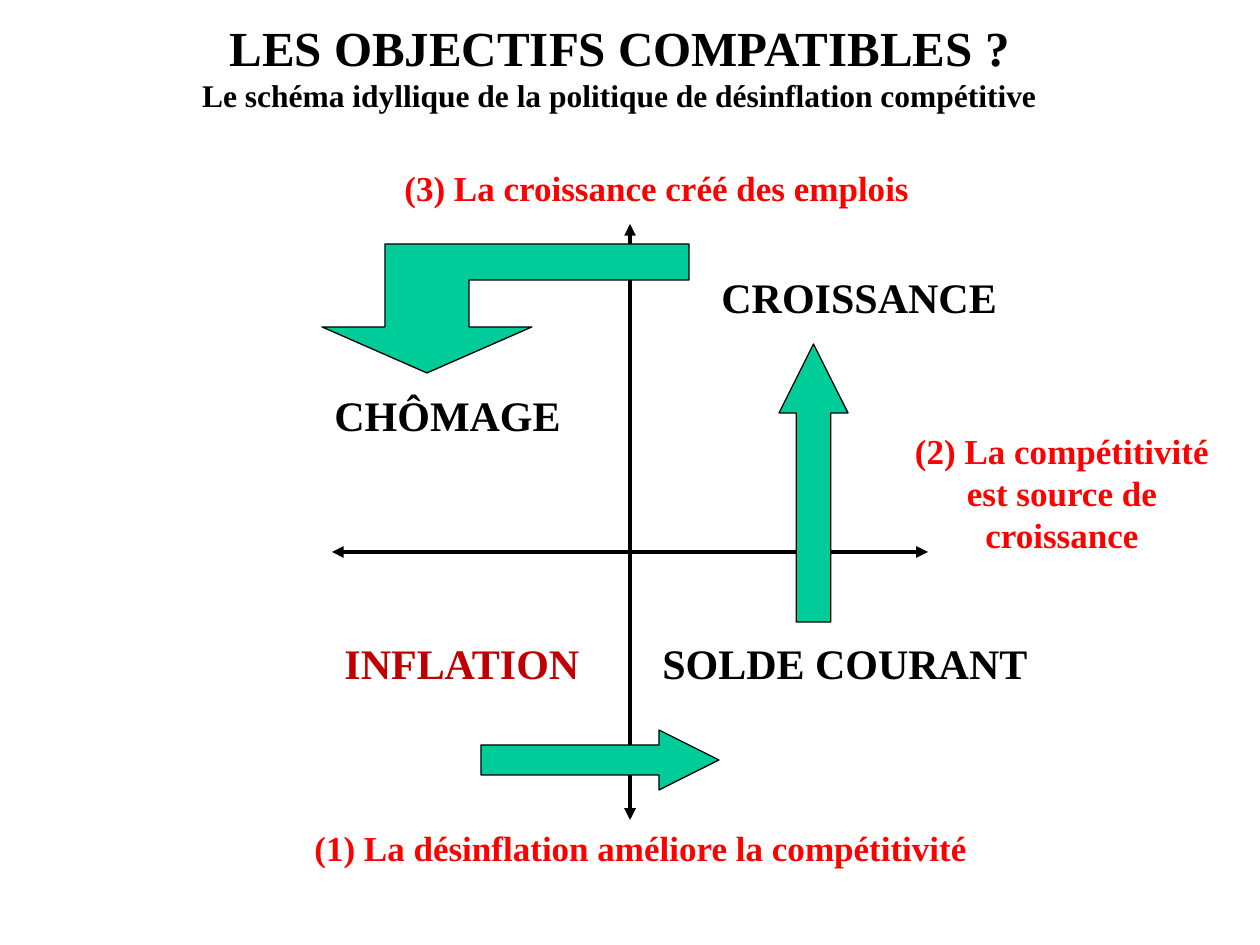
from pptx import Presentation
from pptx import util as u
from pptx.dml.color import RGBColor
from pptx.enum import shapes as sh, text as tx
from pptx.oxml.ns import qn
from lxml import etree

PX = u.Inches(1) / 126
FONT = "Times New Roman"
BLACK = RGBColor(0, 0, 0)
RED = RGBColor(255, 0, 0)
DARK = RGBColor(0xC0, 0, 0)
GREEN = RGBColor(0, 0xCC, 0x99)
LEFT, MID = tx.PP_ALIGN.LEFT, tx.PP_ALIGN.CENTER

# Content: boxes are left, top, width, height in px
TITLE = [("LES OBJECTIFS COMPATIBLES ?", 28),
         ("Le schéma idyllique de la politique de désinflation compétitive", 18)]
LABELS = [  # corners of the diagram
    ("CROISSANCE", (709, 265, 318, 63), BLACK),
    ("CHÔMAGE", (322, 383, 258, 63), BLACK),
    ("INFLATION", (332, 631, 268, 63), DARK),
    ("SOLDE COURANT", (650, 631, 427, 63), BLACK),
]
STEPS = [
    ("(1) La désinflation améliore la compétitivité", (302, 820, 694, 55), LEFT),
    ("(2) La compétitivité est source de croissance", (898, 423, 328, 139), MID),
    ("(3) La croissance créé des emplois", (392, 160, 546, 55), LEFT),
]
AXES = [(332, 552, 928, 552), (630, 224, 630, 820)]
BENT = [(427, 373), (532, 327), (469, 327), (469, 280), (689, 280),
        (689, 244), (385, 244), (385, 327), (322, 327)]
ARROWS = [
    (sh.MSO_SHAPE.RIGHT_ARROW, (481, 730, 238, 60)),
    (sh.MSO_SHAPE.UP_ARROW, (779, 344, 69, 278)),
]


def emu(nums):
    return [round(n * PX) for n in nums]


def write(slide, lines, box, color=BLACK, align=LEFT):
    frame = slide.shapes.add_textbox(*emu(box)).text_frame
    frame.word_wrap = True
    frame.vertical_anchor = tx.MSO_ANCHOR.MIDDLE
    for i, (words, size) in enumerate(lines):
        para = frame.add_paragraph() if i else frame.paragraphs[0]
        para.text = words
        para.alignment = align
        font = para.font
        font.name, font.size, font.bold = FONT, u.Pt(size), True
        font.color.rgb = color


def paint(shape):
    shape.shadow.inherit = False
    shape.fill.solid()
    shape.fill.fore_color.rgb = GREEN
    shape.line.color.rgb = BLACK
    shape.line.width = u.Pt(0.75)


def axis(slide, ends):
    line = slide.shapes.add_connector(sh.MSO_CONNECTOR.STRAIGHT, *emu(ends))
    line.line.color.rgb = BLACK
    line.line.width = u.Pt(2.25)
    stroke = line.line._get_or_add_ln()
    for tip in ("a:headEnd", "a:tailEnd"):
        etree.SubElement(stroke, qn(tip), type="triangle")
    etree.SubElement(line._element.spPr, qn("a:effectLst"))


def main():
    deck = Presentation()
    deck.slide_width, deck.slide_height = emu((1260, 945))
    slide = deck.slides.add_slide(deck.slide_layouts[6])

    write(slide, TITLE, (84, 26, 1071, 79), align=MID)
    for ends in AXES:
        axis(slide, ends)
    for words, box, color in LABELS:
        write(slide, [(words, 24)], box, color)

    # Arrows from one corner to the next
    pen = slide.shapes.build_freeform(*BENT[0], scale=PX)
    pen.add_line_segments(BENT[1:], close=True)
    paint(pen.convert_to_shape())
    for kind, box in ARROWS:
        arrow = slide.shapes.add_shape(kind, *emu(box))
        arrow.adjustments[0], arrow.adjustments[1] = 0.5, 1
        paint(arrow)

    for words, box, align in STEPS:
        write(slide, [(words, 20)], box, RED, align)
    deck.save("out.pptx")


if __name__ == "__main__":
    main()
